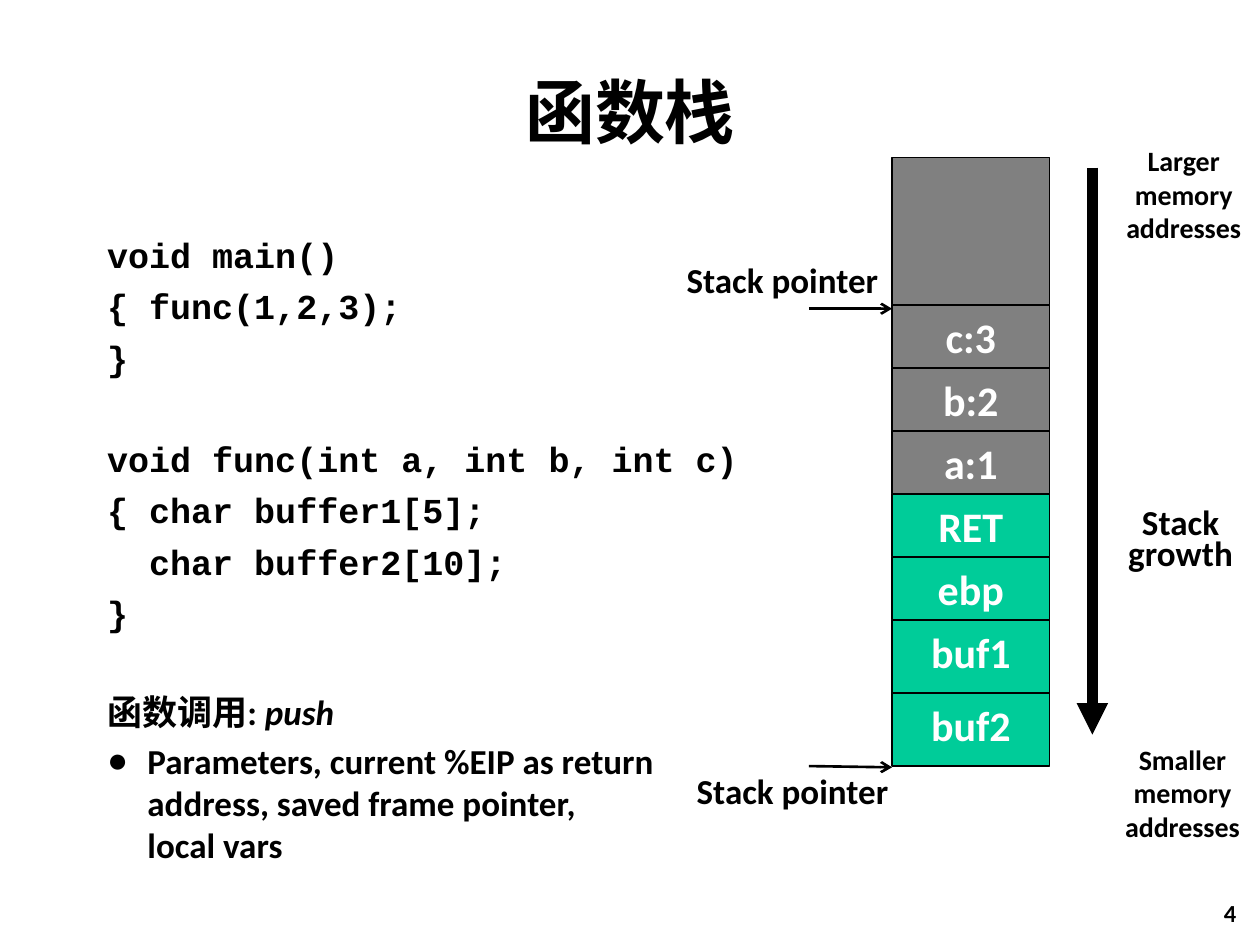
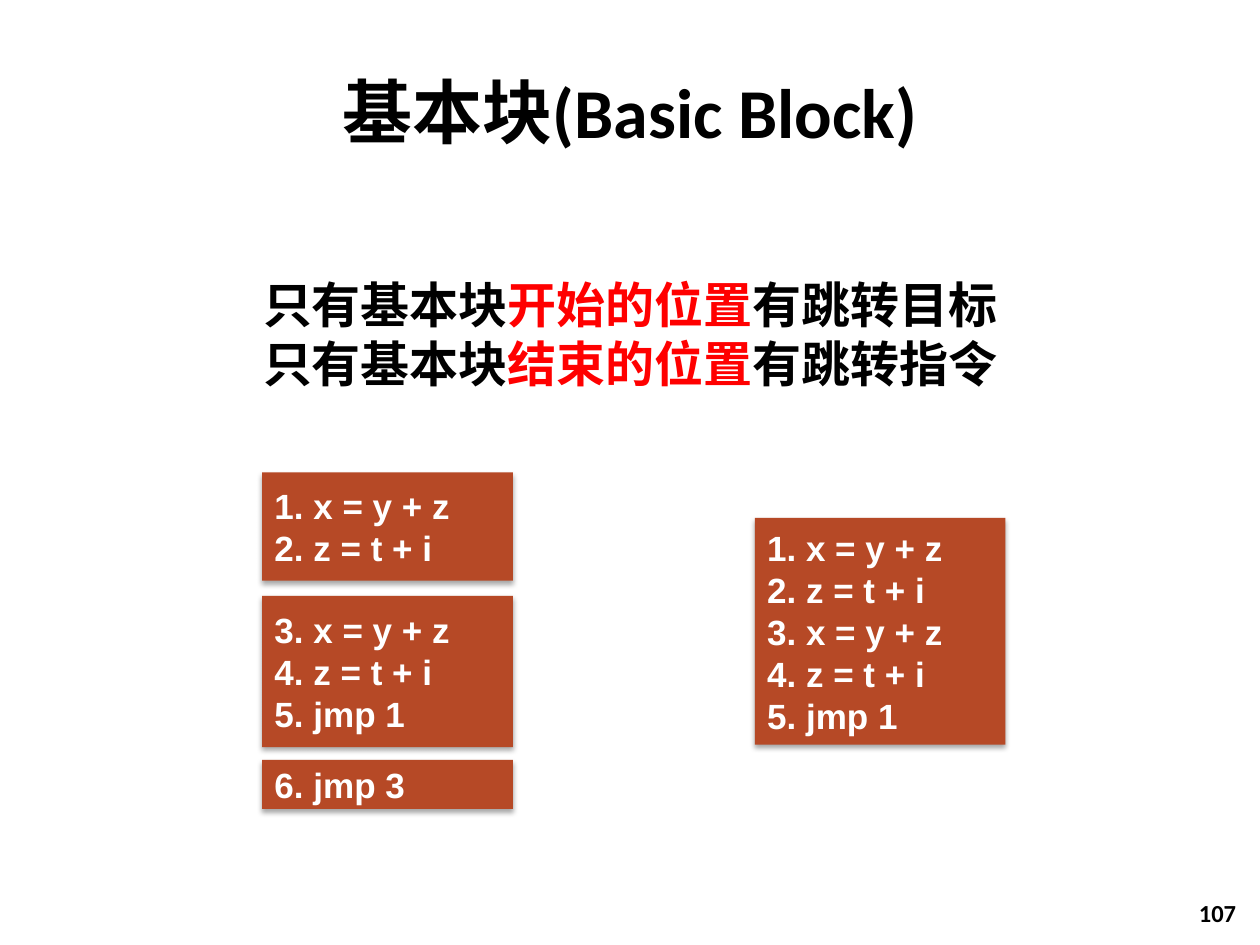
from dataclasses import dataclass
from lxml import etree
from pptx import Presentation
from pptx.dml.color import RGBColor
from pptx.enum.shapes import MSO_CONNECTOR, MSO_SHAPE
from pptx.enum.text import MSO_ANCHOR, MSO_AUTO_SIZE, PP_ALIGN
from pptx.oxml.ns import qn
from pptx.util import Inches, Pt

LEFT, CENTER, RIGHT = PP_ALIGN.LEFT, PP_ALIGN.CENTER, PP_ALIGN.RIGHT
TOP, MIDDLE = MSO_ANCHOR.TOP, MSO_ANCHOR.MIDDLE
RECTANGLE, STRAIGHT = MSO_SHAPE.RECTANGLE, MSO_CONNECTOR.STRAIGHT
NO_AUTOFIT = MSO_AUTO_SIZE.NONE


@dataclass(frozen=True)
class Theme:
    ink: str = "000000"
    paper: str = "FFFFFF"
    accent: str = "FF0000"
    caller: str = "808080"
    callee: str = "00CC99"
    block: str = "B64926"
    text_font: str = "Calibri"
    code_font: str = "Courier New"
    block_font: str = "Arial"
    title: int = 40
    statement: int = 28
    cell: int = 24
    body: int = 20
    note: int = 16
    number: int = 14


THEME = Theme()

STACK_TITLE = "函数栈"
CODE_GROUPS = [
    ["void main()", "{ func(1,2,3);", "}"],
    ["void func(int a, int b, int c)", "{ char buffer1[5];", "  char buffer2[10];", "}"],
]
CALL_LABEL, CALL_VERB = "函数调用: ", "push"
CALL_DETAIL = "Parameters, current %EIP as return\vaddress, saved frame pointer,\vlocal vars"
STACK_CELLS = [
    ("", 1.17, THEME.caller),
    ("c:3", 0.5, THEME.caller),
    ("b:2", 0.5, THEME.caller),
    ("a:1", 0.5, THEME.caller),
    ("RET", 0.5, THEME.callee),
    ("ebp", 0.5, THEME.callee),
    ("buf1", 0.58, THEME.callee),
    ("buf2", 0.58, THEME.callee),
]
STACK_LEFT, STACK_TOP, STACK_WIDTH = 7.08, 1.25, 1.25
STACK_NOTES = [
    (["Stack pointer"], (5.25, 2, 1.92, 0.44), THEME.body),
    (["Stack pointer"], (5.33, 6.06, 1.92, 0.44), THEME.body),
    (["Stack", "growth"], (8.85, 3.92, 1.04, 0.67), THEME.body),
    (["Larger\vmemory\vaddresses"], (8.83, 1.09, 1.13, 0.91), THEME.note),
    (["Smaller\vmemory\vaddresses"], (8.82, 5.84, 1.13, 0.91), THEME.note),
]
ARROWS = [
    ((6.42, 2.45), (7.08, 2.45), 1.5, "arrow"),
    ((6.42, 6.08), (7.08, 6.09), 1.5, "arrow"),
    ((8.67, 1.33), (8.67, 5.83), 6, "triangle"),
]

BLOCK_TITLE = "基本块(Basic Block)"
RULES = [
    ("只有基本块", "开始的位置", "有跳转目标"),
    ("只有基本块", "结束的位置", "有跳转指令"),
]
BLOCK_WIDTH = 1.99
PROGRAM = ["1. x = y + z", "2. z = t + i", "3. x = y + z", "4. z = t + i", "5. jmp 1", "6. jmp 3"]
SPLIT_BLOCKS = [
    (PROGRAM[:2], (2.08, 3.75, BLOCK_WIDTH, 0.86)),
    (PROGRAM[2:5], (2.08, 4.73, BLOCK_WIDTH, 1.2)),
    (PROGRAM[5:], (2.08, 6.03, BLOCK_WIDTH, 0.39)),
]
WHOLE_BLOCK = (PROGRAM[:5], (5.99, 4.11, BLOCK_WIDTH, 1.8))


def inches(values):
    return [Inches(value) for value in values]


def place(shape, area):
    shape.left, shape.top, shape.width, shape.height = inches(area)


def style(font, size, color=THEME.ink, name=THEME.text_font, italic=False):
    font.size, font.name = Pt(size), name
    font.bold, font.italic = True, italic
    font.color.rgb = RGBColor.from_string(color)


def write(frame, lines, size, color=THEME.ink, name=THEME.text_font, align=CENTER, anchor=TOP):
    frame.text = "\n".join(lines)
    frame.word_wrap, frame.vertical_anchor = True, anchor
    frame.auto_size = NO_AUTOFIT
    for para in frame.paragraphs:
        para.alignment = align
        for span in para.runs:
            style(span.font, size, color, name)


def add_text(slide, area, lines, size, **options):
    box = slide.shapes.add_textbox(*inches(area))
    write(box.text_frame, lines, size, **options)
    return box.text_frame


def add_rectangle(shapes, area, fill):
    box = shapes.add_shape(RECTANGLE, *inches(area))
    box.shadow.inherit = False
    box.fill.solid()
    box.fill.fore_color.rgb = RGBColor.from_string(fill)
    return box


def add_arrow(slide, start, end, width, head):
    arrow = slide.shapes.add_connector(STRAIGHT, *inches(start + end))
    arrow.line.width = Pt(width)
    arrow.line.color.rgb = RGBColor.from_string(THEME.ink)
    properties = arrow.element.spPr
    etree.SubElement(properties.find(qn("a:ln")), qn("a:tailEnd"), type=head)
    etree.SubElement(properties, qn("a:effectLst"))


def add_code_block(shapes, lines, area):
    box = add_rectangle(shapes, area, THEME.block)
    box.line.fill.background()
    effects = box.element.spPr.find(qn("a:effectLst"))
    shadow = etree.SubElement(effects, qn("a:outerShdw"), blurRad=str(Pt(3.1)),
                              dist=str(Pt(1.8)), dir="5400000", rotWithShape="0")
    color = etree.SubElement(shadow, qn("a:srgbClr"), val=THEME.ink)
    etree.SubElement(color, qn("a:alpha"), val="35000")
    write(box.text_frame, lines, THEME.body, color=THEME.paper,
          name=THEME.block_font, align=LEFT, anchor=MIDDLE)


def set_bullet(para, indent, symbol=None):
    properties = para._p.get_or_add_pPr()
    properties.set("marL", str(Inches(indent)))
    properties.set("indent", str(-Inches(indent)))
    if symbol:
        etree.SubElement(properties, qn("a:buChar"), char=symbol)
    else:
        etree.SubElement(properties, qn("a:buNone"))


def new_slide(deck, layout, title, number):
    slide = deck.slides.add_slide(deck.slide_layouts.get_by_name(layout))
    place(slide.shapes.title, (0.75, 0.25, 8.5, 1.25))
    write(slide.shapes.title.text_frame, [title], THEME.title, anchor=MIDDLE)
    add_text(slide, (7.83, 7.08, 2.08, 0.5), [number], THEME.number, align=RIGHT)
    return slide


def fill_code_body(body):
    place(body, (0.75, 1.75, 8.5, 4.92))
    frame = body.text_frame
    code = [line for group in CODE_GROUPS for line in group]
    write(frame, code + [CALL_LABEL, CALL_DETAIL], THEME.body, name=THEME.code_font, align=LEFT)
    frame.margin_top = Inches(0.1)
    *code_paras, call, detail = frame.paragraphs
    for para in code_paras + [call]:
        set_bullet(para, 0.38)
        para.space_before = Pt(5.5)
    set_bullet(detail, 0.32, "●")
    detail.space_before = Pt(4)
    code_paras[0].space_before = Pt(0)
    code_paras[len(CODE_GROUPS[0])].space_before = Pt(33.5)
    call.space_before = Pt(32.5)
    verb = call.add_run()
    verb.text = CALL_VERB
    for span in call.runs + detail.runs:
        style(span.font, THEME.body)
    verb.font.italic = True


def build_stack_slide(deck):
    slide = new_slide(deck, "Title and Content", STACK_TITLE, "4")
    fill_code_body(slide.placeholders[1])
    top = STACK_TOP
    for label, height, fill in STACK_CELLS:
        cell = add_rectangle(slide.shapes, (STACK_LEFT, top, STACK_WIDTH, height), fill)
        cell.line.color.rgb = RGBColor.from_string(THEME.ink)
        cell.line.width = Pt(0.75)
        if label:
            write(cell.text_frame, [label], THEME.cell, color=THEME.paper)
        top += height
    for arrow in ARROWS:
        add_arrow(slide, *arrow)
    for lines, area, size in STACK_NOTES:
        frame = add_text(slide, area, lines, size)
        frame.word_wrap = False
        for para in frame.paragraphs[1:]:
            para.line_spacing = Pt(17.7)


def build_block_slide(deck):
    slide = new_slide(deck, "Title Only", BLOCK_TITLE, "107")
    lines = [rule[0] for rule in RULES]
    frame = add_text(slide, (0.54, 1.73, 8.92, 1.83), lines, THEME.statement, anchor=MIDDLE)
    for para, (_, position, ending) in zip(frame.paragraphs, RULES):
        for text, color in ((position, THEME.accent), (ending, THEME.ink)):
            span = para.add_run()
            span.text = text
            style(span.font, THEME.statement, color)
    group = slide.shapes.add_group_shape()
    for block in SPLIT_BLOCKS:
        add_code_block(group.shapes, *block)
    add_code_block(slide.shapes, *WHOLE_BLOCK)


def main():
    deck = Presentation()
    deck.slide_width, deck.slide_height = Inches(10), Inches(7.5)
    build_stack_slide(deck)
    build_block_slide(deck)
    deck.save("out.pptx")


if __name__ == "__main__":
    main()
